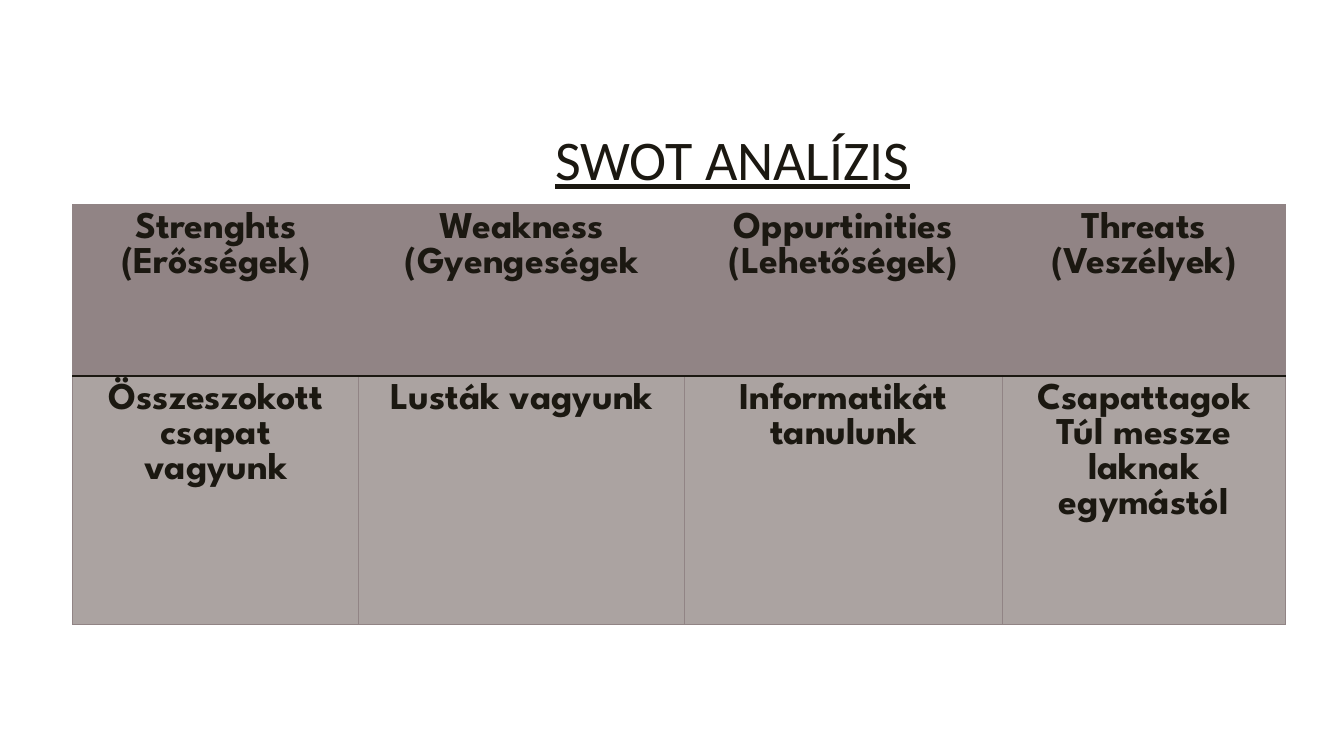
from dataclasses import dataclass

from lxml import etree
from pptx import Presentation
from pptx.dml.color import RGBColor
from pptx.enum.text import MSO_ANCHOR, PP_ALIGN
from pptx.oxml.ns import qn
from pptx.util import Inches, Pt

TITLE = "SWOT ANALÍZIS"
TITLE_BOX = (4.21, 0.91, 4.91, 1.41)
TABLE_LEFT, TABLE_TOP = 0.72, 2.03
COLUMN_WIDTHS = (2.84, 3.23, 3.15, 2.81)
ROW_HEIGHTS = (1.7, 2.47)
ROWS = (
    (
        "Strenghts\n(Erősségek)",
        "Weakness\n(Gyengeségek",
        "Oppurtinities\n(Lehetőségek)",
        "Threats\n(Veszélyek)",
    ),
    (
        "Összeszokott csapat vagyunk",
        "Lusták vagyunk",
        "Informatikát tanulunk",
        "Csapattagok\nTúl messze laknak egymástól",
    ),
)

CENTER, RIGHT = PP_ALIGN.CENTER, PP_ALIGN.RIGHT
MIDDLE = MSO_ANCHOR.MIDDLE


@dataclass(frozen=True)
class Theme:
    ink: str = "1B1811"
    header: str = "918485"
    body: str = "ABA3A1"
    title_font: str = "Calibri"
    table_font: str = "League Spartan"
    title_size: int = 40
    table_size: int = 27
    grid_width: float = 0.75
    rule_width: float = 1


THEME = Theme()


def style_text(text_frame, alignment, font_name, size, bold=False, underline=False):
    for paragraph in text_frame.paragraphs:
        paragraph.alignment = alignment
        for run in paragraph.runs:
            run.font.name = font_name
            run.font.size = Pt(size)
            run.font.bold = bold
            run.font.underline = underline
            run.font.color.rgb = RGBColor.from_string(THEME.ink)


def set_borders(cell, rule_side):
    properties = cell._tc.get_or_add_tcPr()
    for position, side in enumerate(("lnL", "lnR", "lnT", "lnB")):
        is_rule = side == rule_side
        width = THEME.rule_width if is_rule else THEME.grid_width
        color = THEME.ink if is_rule else THEME.header
        line = etree.Element(qn(f"a:{side}"), w=str(Pt(width)))
        fill = etree.SubElement(line, qn("a:solidFill"))
        etree.SubElement(fill, qn("a:srgbClr"), val=color)
        properties.insert(position, line)


def add_title(slide):
    title = slide.shapes.add_textbox(*map(Inches, TITLE_BOX))
    text_frame = title.text_frame
    text_frame.word_wrap = True
    text_frame.vertical_anchor = MIDDLE
    text_frame.text = TITLE
    text_frame.paragraphs[0].line_spacing = 0.9
    style_text(text_frame, RIGHT, THEME.title_font, THEME.title_size, underline=True)


def add_swot_table(slide):
    frame = slide.shapes.add_table(
        len(ROWS), len(COLUMN_WIDTHS),
        Inches(TABLE_LEFT), Inches(TABLE_TOP),
        Inches(sum(COLUMN_WIDTHS)), Inches(sum(ROW_HEIGHTS)),
    )
    table = frame.table
    table.horz_banding = False
    for column, width in zip(table.columns, COLUMN_WIDTHS):
        column.width = Inches(width)
    row_styles = ((THEME.header, "lnB"), (THEME.body, "lnT"))
    for row, height, texts, (color, rule_side) in zip(
        table.rows, ROW_HEIGHTS, ROWS, row_styles
    ):
        row.height = Inches(height)
        for cell, text in zip(row.cells, texts):
            cell.text_frame.text = text
            cell.margin_left = cell.margin_right = Inches(0.15)
            cell.margin_top = cell.margin_bottom = Inches(0.07)
            cell.fill.solid()
            cell.fill.fore_color.rgb = RGBColor.from_string(color)
            set_borders(cell, rule_side)
            style_text(
                cell.text_frame, CENTER, THEME.table_font, THEME.table_size, bold=True
            )


def main():
    presentation = Presentation()
    presentation.slide_width = Inches(13.33)
    presentation.slide_height = Inches(7.5)
    slide = presentation.slides.add_slide(presentation.slide_layouts[6])
    add_title(slide)
    add_swot_table(slide)
    presentation.save("out.pptx")


if __name__ == "__main__":
    main()
